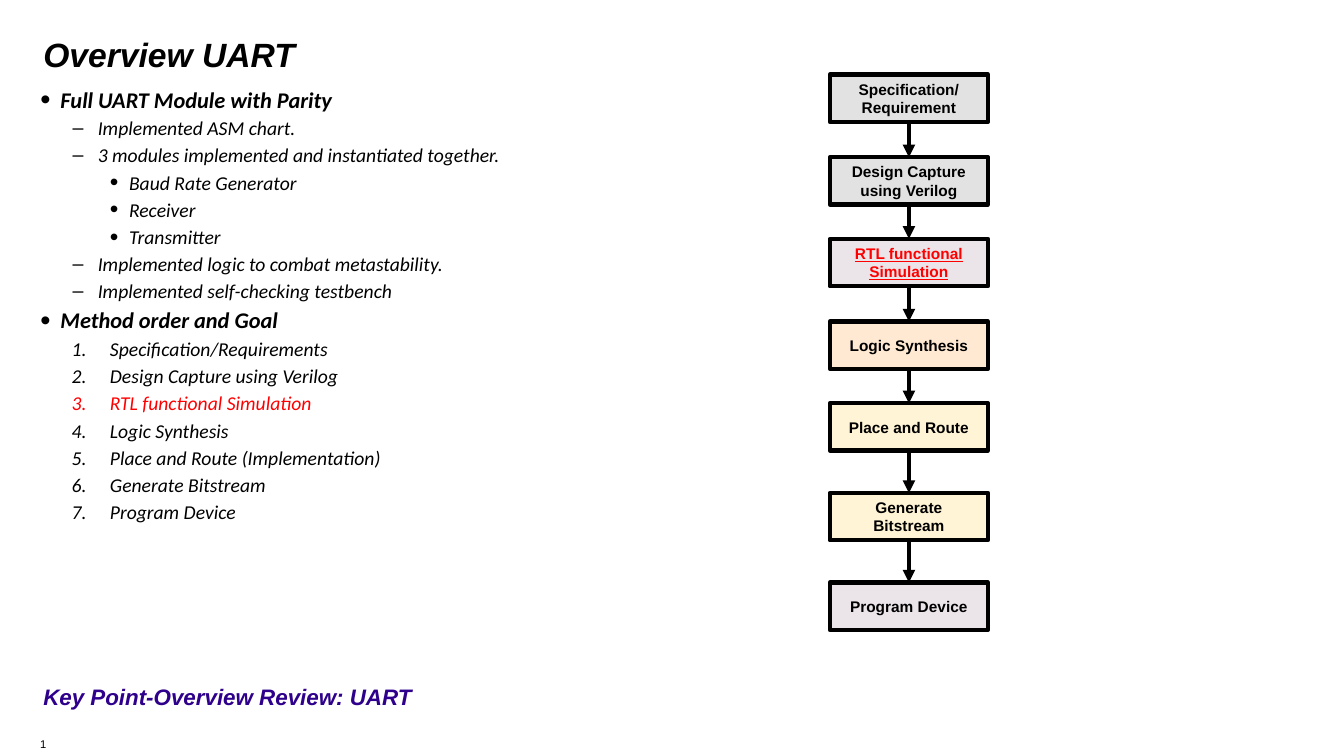
import pptx
import pptx.dml.color
import pptx.enum.shapes
import pptx.enum.text
import pptx.oxml.ns
import pptx.util
from lxml import etree

Inches, Pt = pptx.util.Inches, pptx.util.Pt
ANCHOR = pptx.enum.text.MSO_ANCHOR
ALIGN = pptx.enum.text.PP_ALIGN
BLACK, RED, PURPLE = "000000", "FF0000", "2E008B"

# Outline styles: level, left indent, hanging indent, size, bold, bullet size, bullet
OUTLINE = {
    "heading": (0, 0.2, 0.2, 16, True, 130, "•"),
    "dash": (1, 0.57, 0.25, 14, False, 100, "–"),
    "dot": (2, 0.88, 0.19, 14, False, 125, "•"),
    "step": (1, 0.69, 0.38, 14, False, 100, None),
}

CONTENT = [
    ("heading", ["Full UART Module with Parity"]),
    ("dash", ["Implemented ASM chart.",
              "3 modules implemented and instantiated together."]),
    ("dot", ["Baud Rate Generator", "Receiver", "Transmitter"]),
    ("dash", ["Implemented logic to combat metastability.",
              "Implemented self-checking testbench"]),
    ("heading", ["Method order and Goal"]),
    ("step", ["Specification/Requirements", "Design Capture using Verilog",
              "RTL functional Simulation", "Logic Synthesis",
              "Place and Route (Implementation)", "Generate Bitstream",
              "Program Device"]),
]
CURRENT_STEP = "RTL functional Simulation"

# Flow stages: top, fill, lines of text
FLOW = [
    (0.74, "E2E2E2", ["Specification/", "Requirement"]),
    (1.56, "E2E2E2", ["Design Capture using Verilog"]),
    (2.37, "EBE4E9", [CURRENT_STEP]),
    (3.19, "FFE9D2", ["Logic Synthesis"]),
    (4.0, "FFF4D5", ["Place and Route"]),
    (4.89, "FFF4D5", ["Generate Bitstream"]),
    (5.78, "EBE4E9", ["Program Device"]),
]


def rgb(value):
    return pptx.dml.color.RGBColor.from_string(value)


def add_xml(parent, tag, **attributes):
    element = etree.SubElement(parent, pptx.oxml.ns.qn(tag))
    for key, value in attributes.items():
        element.set(key, str(value))
    return element


def write(paragraph, text, size=11, font="Arial", color=BLACK, bold=False,
          italic=False, underline=None, align=None):
    run = paragraph.add_run()
    run.text = text
    run.font.size, run.font.name = Pt(size), font
    run.font.bold, run.font.italic, run.font.underline = bold, italic, underline
    run.font.color.rgb = rgb(color)
    paragraph.alignment = align


class SlideBuilder:
    line_width = Pt(3)

    def __init__(self, slide):
        self.slide = slide

    def frame(self, shape, anchor=ANCHOR.TOP, top_inset=0.05):
        frame = shape.text_frame
        frame.word_wrap = True
        frame.auto_size = pptx.enum.text.MSO_AUTO_SIZE.NONE
        frame.vertical_anchor = anchor
        frame.margin_left = frame.margin_right = Inches(0.1)
        frame.margin_top, frame.margin_bottom = Inches(top_inset), Inches(0.05)
        return frame

    def placeholder(self, index, left, top, width, height, top_inset=0.05):
        shape = self.slide.placeholders[index]
        shape.left, shape.top = Inches(left), Inches(top)
        shape.width, shape.height = Inches(width), Inches(height)
        return self.frame(shape, top_inset=top_inset)

    def line_of_text(self, frame, text, **style):
        paragraph = frame.paragraphs[0]
        paragraph.space_before = Pt(0)
        properties = paragraph._p.get_or_add_pPr()
        properties.set("marL", "0")
        properties.set("indent", "0")
        add_xml(properties, "a:buNone")
        write(paragraph, text, bold=True, italic=True,
              align=ALIGN.LEFT, **style)

    def outline(self, frame, content):
        rows = [(kind, text) for kind, texts in content for text in texts]
        for number, (kind, text) in enumerate(rows):
            level, left, hanging, size, bold, bullet_size, bullet = OUTLINE[kind]
            paragraph = frame.add_paragraph() if number else frame.paragraphs[0]
            paragraph.level = level
            paragraph.space_before = Pt(2.6 if number else 0)
            properties = paragraph._p.get_or_add_pPr()
            properties.set("marL", str(Inches(left)))
            properties.set("indent", str(-Inches(hanging)))
            add_xml(properties, "a:buSzPct", val=bullet_size * 1000)
            if bullet:
                add_xml(properties, "a:buFont", typeface="Arial")
                add_xml(properties, "a:buChar", char=bullet)
            else:
                add_xml(properties, "a:buFont", typeface="+mj-lt")
                add_xml(properties, "a:buAutoNum", type="arabicPeriod")
            write(paragraph, text, size=size, font="Calibri", bold=bold,
                  italic=True, align=ALIGN.LEFT,
                  color=RED if text == CURRENT_STEP else BLACK)

    def stage(self, top, fill, lines):
        box = self.slide.shapes.add_shape(
            pptx.enum.shapes.MSO_SHAPE.RECTANGLE,
            Inches(8.23), Inches(top), Inches(1.57), Inches(0.47))
        box.shadow.inherit = False
        box.fill.solid()
        box.fill.fore_color.rgb = rgb(fill)
        box.line.color.rgb, box.line.width = rgb(BLACK), self.line_width
        frame = self.frame(box, ANCHOR.MIDDLE)
        current = lines == [CURRENT_STEP]
        for number, text in enumerate(lines):
            paragraph = frame.add_paragraph() if number else frame.paragraphs[0]
            write(paragraph, text, bold=True, align=ALIGN.CENTER,
                  color=RED if current else BLACK, underline=current or None)
        return box

    def arrow(self, source, target):
        arrow = self.slide.shapes.add_connector(
            pptx.enum.shapes.MSO_CONNECTOR.STRAIGHT, 0, 0, 0, 0)
        arrow.begin_connect(source, 2)
        arrow.end_connect(target, 0)
        arrow.line.color.rgb, arrow.line.width = rgb(BLACK), self.line_width
        add_xml(arrow.line._get_or_add_ln(), "a:tailEnd", type="triangle")
        add_xml(arrow._element.spPr, "a:effectLst")

    def text_box(self, text, left, top, width, height, **style):
        box = self.slide.shapes.add_textbox(
            Inches(left), Inches(top), Inches(width), Inches(height))
        write(self.frame(box, ANCHOR.MIDDLE).paragraphs[0], text, **style)


def main():
    deck = pptx.Presentation()
    deck.slide_width, deck.slide_height = Inches(13.33), Inches(7.5)
    builder = SlideBuilder(deck.slides.add_slide(deck.slide_layouts[3]))

    # Title, key point and page number
    title = builder.placeholder(0, 0.33, 0.25, 3.59, 0.64, top_inset=0.09)
    builder.line_of_text(title, "Overview UART", size=24)
    key_point = builder.placeholder(2, 0.33, 6.73, 12.36, 0.49)
    builder.line_of_text(key_point, "Key Point-Overview Review: UART",
                         size=16, color=PURPLE)
    builder.text_box("1", 0.3, 7.26, 1.01, 0.24, size=8)

    # Outline on the left
    builder.outline(builder.placeholder(1, 0.3, 0.8, 5.52, 5.24), CONTENT)

    # Design flow on the right
    stages = [builder.stage(*stage) for stage in FLOW]
    for source, target in zip(stages, stages[1:]):
        builder.arrow(source, target)

    deck.save("out.pptx")


if __name__ == "__main__":
    main()
